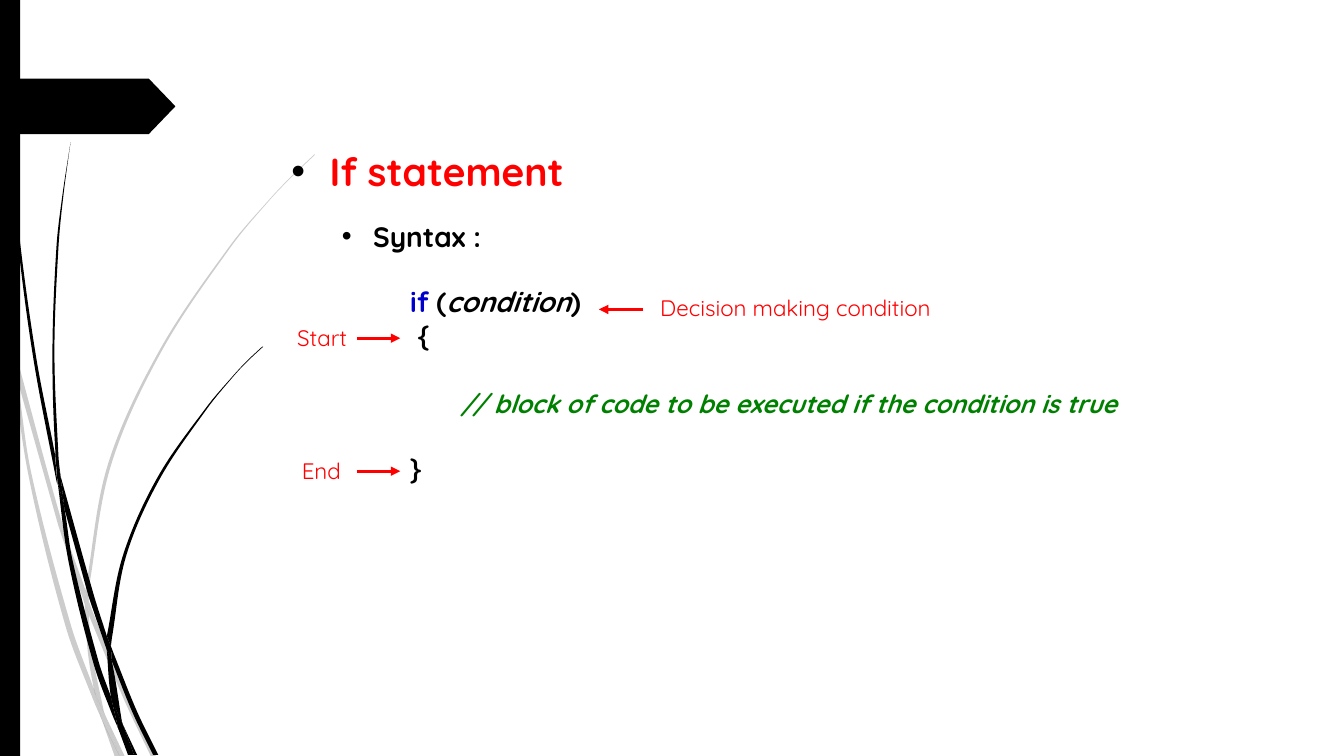
from dataclasses import dataclass

from lxml import etree
from pptx import Presentation
from pptx.dml.color import RGBColor
from pptx.enum import shapes, text
from pptx.oxml import ns
from pptx.util import Inches, Pt


@dataclass(frozen=True)
class Theme:
    font: str = "Quicksand"
    black: str = "000000"
    red: str = "FF0000"
    blue: str = "0000CD"
    green: str = "008000"
    pale: int = 20
    heading: int = 28
    code: int = 20
    comment: int = 18
    label: int = 16


T = Theme()

# Stalk pieces: the two edges of each, going round the outline
PALE_STALKS = [
    ([(.11, 3.5), (.09, 3.22), (0, 2.82)], [(0, 2.99), (.1, 3.44)]),
    ([(.58, 5.22), (.84, 5.99)], [(.85, 5.86), (.62, 5.2), (.14, 3.45)], [(.17, 3.76), (.58, 5.22)]),
    ([(.92, 6.07), (.88, 5.96)], [(.88, 6.1), (1.23, 6.94), (1.5, 7.51)],
     [(1.55, 7.51), (1.27, 6.92), (.92, 6.07)]),
    ([(1.19, 7.51), (1.24, 7.51)], [(1.05, 7.11), (1.19, 7.51)]),
    ([(.93, 6.83), (.7, 6.19), (.31, 4.69), (.17, 3.76), (.11, 3.5)],
     [(.11, 3.5), (.28, 4.7), (.65, 6.21), (.92, 6.93), (1.01, 7.14)], [(.99, 7.07), (.93, 6.83)]),
    ([(.84, 5.99), (.87, 6.46), (.93, 6.83), (.96, 6.92), (1.05, 7.11)],
     [(1.03, 7.06), (.91, 6.46), (.88, 6.1), (.88, 6.08)]),
    ([(.88, 5.84), (1.1, 4.62), (1.6, 3.49), (2.29, 2.45), (2.68, 1.98), (2.9, 1.75), (3.12, 1.54)],
     [(3.12, 1.53), (2.89, 1.75), (2.68, 1.97), (2.28, 2.44), (1.58, 3.48), (1.07, 4.61), (.85, 5.84)],
     [(.85, 5.86), (.88, 5.96)]),
    ([(1.01, 7.14), (1.14, 7.51)], [(1.19, 7.51), (1.01, 7.14)]),
    ([(.88, 6.08), (.88, 6.1)], [(.88, 5.96), (.85, 5.86)], [(.84, 5.99), (.88, 6.08)]),
    ([(.96, 6.92), (.93, 6.83)], [(.99, 7.07), (1.01, 7.14), (1.19, 7.51)], [(1.05, 7.11), (.96, 6.92)]),
]
DARK_STALKS = [
    ([(.07, 1.1), (.17, 2.33), (.33, 3.55), (.56, 4.77), (.57, 4.81)],
     [(.55, 4.57), (.55, 4.53), (.36, 3.55), (.19, 2.32), (.08, 1.09), (.05, .48), (.04, 0)],
     [(.03, 0), (.04, .48), (.07, 1.1)]),
    ([(.88, 5.92), (1.06, 6.45)], [(1.06, 6.31), (.93, 5.9), (.6, 4.72)], [(.64, 5.05), (.88, 5.92)]),
    ([(1.13, 6.49), (1.1, 6.41)], [(1.11, 6.56), (1.32, 7.08), (1.52, 7.49)],
     [(1.57, 7.49), (1.36, 7.06), (1.13, 6.49)]),
    ([(1.1, 6.91), (.98, 6.57), (.72, 5.56), (.64, 5.05), (.57, 4.77)],
     [(.57, 4.77), (.68, 5.57), (.93, 6.59), (1.11, 7.08), (1.17, 7.22)], [(1.16, 7.17), (1.1, 6.91)]),
    ([(.6, 4.72), (.58, 4.53), (.54, 3.49), (.58, 2.45), (.63, 1.93), (.7, 1.41)],
     [(.7, 1.41), (.62, 1.93), (.56, 2.45), (.52, 3.49), (.55, 4.49), (.6, 4.72)]),
    ([(1.33, 7.49), (1.36, 7.49)], [(1.22, 7.19), (1.33, 7.49)]),
    ([(.57, 4.77), (.64, 5.05)], [(.6, 4.72), (.55, 4.49)], [(.55, 4.53), (.57, 4.77)]),
    ([(1.11, 6.33), (1.25, 5.52), (1.58, 4.76), (2.05, 4.06), (2.31, 3.74), (2.45, 3.59), (2.61, 3.44)],
     [(2.6, 3.44), (2.45, 3.58), (2.31, 3.73), (2.04, 4.05), (1.56, 4.74), (1.22, 5.51), (1.06, 6.31)],
     [(1.1, 6.41), (1.11, 6.33)]),
    ([(1.17, 7.22), (1.27, 7.49)], [(1.31, 7.49), (1.17, 7.22)]),
    ([(1.06, 6.45), (1.1, 6.91), (1.16, 7.06), (1.22, 7.19)], [(1.21, 7.16), (1.11, 6.56), (1.06, 6.45)]),
    ([(1.06, 6.45), (1.11, 6.56)], [(1.1, 6.41), (1.06, 6.31)], [(1.06, 6.33), (1.06, 6.45)]),
    ([(1.16, 7.06), (1.1, 6.91)], [(1.16, 7.17), (1.17, 7.22), (1.3, 7.49)],
     [(1.33, 7.49), (1.22, 7.19), (1.16, 7.06)]),
]


def rgb(value):
    return RGBColor.from_string(value)


def paint(sp, alpha=100):
    sp.shadow.inherit = False
    sp.fill.solid()
    sp.fill.fore_color.rgb = rgb(T.black)
    sp.line.fill.background()
    if alpha < 100:
        clr = sp._element.spPr.find(ns.qn("a:solidFill"))[0]
        etree.SubElement(clr, ns.qn("a:alpha"), val=str(alpha * 1000))


def bend(line, sp, a, b, c, d):
    """Turn the line from b to c into a curve that flows from a and on to d."""
    a, b, c, d = (complex(*p) for p in (a, b, c, d))
    reach = abs(c - b) / 3
    line.tag = ns.qn("a:cubicBezTo")
    for i, q in enumerate((b + (c - a) / abs(c - a) * reach, c - (d - b) / abs(d - b) * reach)):
        line.insert(i, etree.Element(ns.qn("a:pt"), x=str(Inches(q.real) - sp.left),
                                     y=str(Inches(q.imag) - sp.top)))


def draw_stalk(s, edges, alpha):
    points = [(Inches(x), Inches(y)) for edge in edges for x, y in edge]
    fb = s.shapes.build_freeform(*points[0])
    fb.add_line_segments(points[1:], close=False)
    sp = fb.convert_to_shape()
    path = next(sp._element.iter(ns.qn("a:path")))
    lines = list(path.iter(ns.qn("a:lnTo")))
    start = 0
    for edge in edges:
        ext = [edge[0], *edge, edge[-1]]
        for i in range(len(edge) - 1):
            bend(lines[start + i], sp, *ext[i:i + 4])
        start += len(edge)
    etree.SubElement(path, ns.qn("a:close"))
    paint(sp, alpha)


def add_run(p, content, size=T.code, color=T.black, bold=True, italic=False):
    r = p.add_run()
    r.text = content
    f = r.font
    f.name, f.size, f.bold, f.italic = T.font, Pt(size), bold, italic
    f.color.rgb = rgb(color)


def add_box(s, x, y, w, h):
    sp = s.shapes.add_textbox(Inches(x), Inches(y), Inches(w), Inches(h))
    sp.text_frame.word_wrap = True
    return sp


def add_bullet(p, margin, hang, before):
    p.space_before = Pt(before)
    p.line_spacing = 1.0
    pPr = p._p.get_or_add_pPr()
    pPr.set("marL", str(Inches(margin)))
    pPr.set("indent", str(-Inches(hang)))
    clr = etree.SubElement(pPr, ns.qn("a:buClr"))
    etree.SubElement(clr, ns.qn("a:srgbClr"), val=T.black)
    etree.SubElement(pPr, ns.qn("a:buFont"), typeface="Arial")
    etree.SubElement(pPr, ns.qn("a:buChar"), char="•")


def add_arrow(s, x1, x2, y, label=None):
    c = s.shapes.add_connector(shapes.MSO_CONNECTOR.STRAIGHT,
                               Inches(x1), Inches(y), Inches(x2), Inches(y))
    if label is not None:
        c.begin_connect(label, 3)
    c.line.color.rgb = rgb(T.red)
    c.line.width = Pt(2.25)
    etree.SubElement(c.line._get_or_add_ln(), ns.qn("a:tailEnd"), type="triangle")
    etree.SubElement(c._element.spPr, ns.qn("a:effectLst"))


def add_label(s, content, x, y, w, align=text.PP_ALIGN.LEFT):
    sp = add_box(s, x, y, w, 0.37)
    p = sp.text_frame.paragraphs[0]
    p.alignment = align
    add_run(p, content, size=T.label, color=T.red, bold=False)
    return sp


def draw_decoration(s, height):
    for stalks, alpha in ((PALE_STALKS, T.pale), (DARK_STALKS, 100)):
        for edges in stalks:
            draw_stalk(s, edges, alpha)
    # Side bar and tag
    bar = s.shapes.add_shape(shapes.MSO_SHAPE.RECTANGLE, 0, 0, Inches(0.2), height)
    tag = s.shapes.add_shape(shapes.MSO_SHAPE.PENTAGON, 0, Inches(0.78), Inches(1.74), Inches(0.55))
    tag.adjustments[0] = 0.48
    for sp in (bar, tag):
        paint(sp)


def fill_body(s, x, y, w, h):
    sp = s.placeholders[1]
    s.shapes._spTree.append(sp._element)  # in front of the stalks
    sp.left, sp.top, sp.width, sp.height = map(Inches, (x, y, w, h))
    tf = sp.text_frame
    tf.auto_size = text.MSO_AUTO_SIZE.NONE
    tf.vertical_anchor = text.MSO_ANCHOR.TOP
    p = tf.paragraphs[0]
    add_bullet(p, 0.38, 0.38, 15)
    add_run(p, "If statement", size=T.heading, color=T.red)
    p = tf.add_paragraph()
    p.level = 1
    add_bullet(p, 0.81, 0.31, 18)
    add_run(p, "Syntax :")


def draw_code(s, x, y, w, h):
    tf = add_box(s, x, y, w, h).text_frame
    p = tf.paragraphs[0]
    add_run(p, "if", color=T.blue)
    add_run(p, " (")
    add_run(p, "condition", italic=True)
    add_run(p, ")")
    add_run(tf.add_paragraph(), " {")
    p = tf.add_paragraph()
    p.space_before = Pt(26.5)
    p._p.get_or_add_pPr().set("marL", str(Inches(0.5)))
    add_run(p, "// block of code to be executed if the condition is true",
            size=T.comment, color=T.green, italic=True)
    p = tf.add_paragraph()
    p.space_before = Pt(23)
    add_run(p, "}")


def draw_callouts(s, x, y):
    # Brace labels, left of the code
    for content, dy in (("Start", 0.4), ("End ", 1.72)):
        label = add_label(s, content, x - 1.39, y + dy, 0.96, text.PP_ALIGN.RIGHT)
        add_arrow(s, x - 0.43, x, y + dy + 0.185, label)
    # Condition label, right of the code
    add_arrow(s, x + 2.41, x + 1.97, y + 0.3)
    add_label(s, "Decision making condition", x + 2.48, y + 0.1, 3.37)


def main():
    prs = Presentation()
    prs.slide_width, prs.slide_height = Inches(13.33), Inches(7.5)
    s = prs.slides.add_slide(prs.slide_layouts[1])
    title = s.shapes.title._element
    title.getparent().remove(title)
    draw_decoration(s, prs.slide_height)
    fill_body(s, 2.79, 1.41, 9.75, 5.12)
    draw_code(s, 3.97, 2.77, 7.96, 2.12)
    draw_callouts(s, 3.97, 2.77)
    prs.save("out.pptx")


if __name__ == "__main__":
    main()
